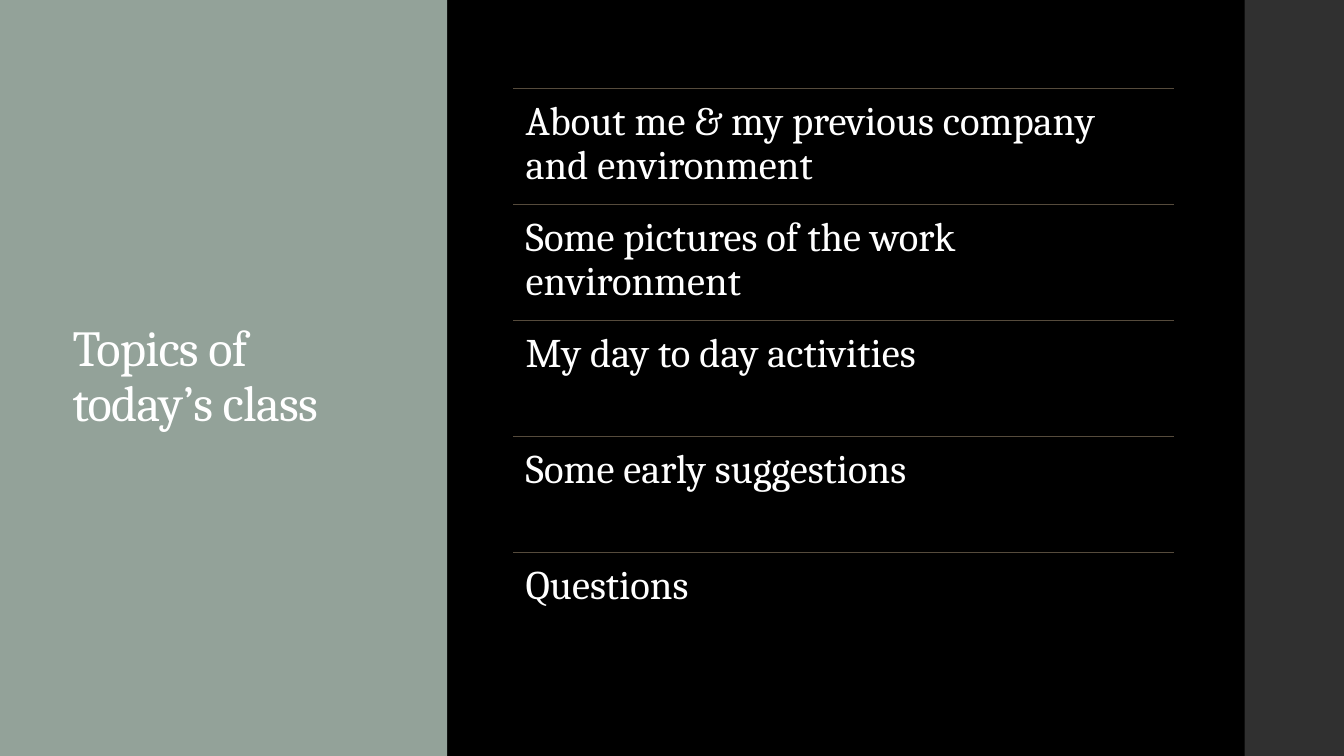
from lxml.etree import SubElement
from pptx import Presentation
from pptx.dml.color import RGBColor
from pptx.enum.shapes import MSO_CONNECTOR, MSO_SHAPE
from pptx.enum.text import MSO_ANCHOR, MSO_AUTO_SIZE, PP_ALIGN
from pptx.oxml.ns import qn
from pptx.util import Pt

COLORS = {
    "background": "000000",
    "title panel": "93A299",
    "side strip": "303030",
    "rule": "564B3C",
    "text": "FFFFFF",
}
FONT = "Cambria"
PAGE_WIDTH, PAGE_HEIGHT = 960, 540
TOPICS = [
    "About me & my previous company and environment",
    "Some pictures of the work environment",
    "My day to day activities",
    "Some early suggestions",
    "Questions",
]


def color(name):
    return RGBColor.from_string(COLORS[name])


def add_panel(page, name, left, top, width, height):
    panel = page.shapes.add_shape(
        MSO_SHAPE.RECTANGLE, Pt(left), Pt(top), Pt(width), Pt(height))
    panel.shadow.inherit = False
    panel.fill.solid()
    panel.fill.fore_color.rgb = color(name)
    panel.line.fill.background()
    return panel


def write(box, text, size, anchor):
    frame = box.text_frame
    frame.text = text
    frame.word_wrap = True
    frame.auto_size = MSO_AUTO_SIZE.NONE
    frame.vertical_anchor = anchor
    para = frame.paragraphs[0]
    para.alignment = PP_ALIGN.LEFT
    para.line_spacing = 0.9
    span = para.runs[0]
    span.font.name = FONT
    span.font.size = Pt(size)
    span.font.color.rgb = color("text")
    return span


def add_title_region(page, left, top, width, height):
    panel = add_panel(page, "title panel", left, top, width, height)
    title = page.shapes.title
    title.element.addprevious(panel.element)  # keeps the panel behind the title
    title.left, title.top = Pt(left + 44.6), Pt(top + 65.5)
    title.width, title.height = Pt(width - 106), Pt(height - 131.5)
    span = write(title, "Topics of today’s class", 36, MSO_ANCHOR.MIDDLE)
    span.font.element.set("spc", "-50") if hasattr(span.font, "element") \
        else span._r.get_or_add_rPr().set("spc", "-50")


def add_topic_list(page, left, top, width, height):
    group = page.shapes.add_group_shape()
    row_height = height / len(TOPICS)
    for index, topic in enumerate(TOPICS):
        row_top = top + index * row_height
        rule = group.shapes.add_connector(
            MSO_CONNECTOR.STRAIGHT,
            Pt(left), Pt(row_top), Pt(left + width), Pt(row_top))
        rule.line.color.rgb = color("rule")
        rule.line.width = Pt(0.75)
        SubElement(rule.element.spPr, qn("a:effectLst"))

        box = group.shapes.add_textbox(
            Pt(left), Pt(row_top), Pt(width), Pt(row_height))
        frame = box.text_frame
        frame.margin_left = frame.margin_right = Pt(8.7)
        frame.margin_top = frame.margin_bottom = Pt(8.7)
        write(box, topic, 29, MSO_ANCHOR.TOP)


def add_topics_slide(deck):
    page = deck.slides.add_slide(deck.slide_layouts[5])
    page.background.fill.solid()
    page.background.fill.fore_color.rgb = color("background")
    add_title_region(page, 0, 0, 319.5, PAGE_HEIGHT)
    add_panel(page, "side strip", 889, 0, PAGE_WIDTH - 889, PAGE_HEIGHT)
    add_topic_list(page, 366.8, 63.3, 471.8, 414)


def main():
    deck = Presentation()
    deck.slide_width, deck.slide_height = Pt(PAGE_WIDTH), Pt(PAGE_HEIGHT)
    add_topics_slide(deck)
    deck.save("out.pptx")


if __name__ == "__main__":
    main()
